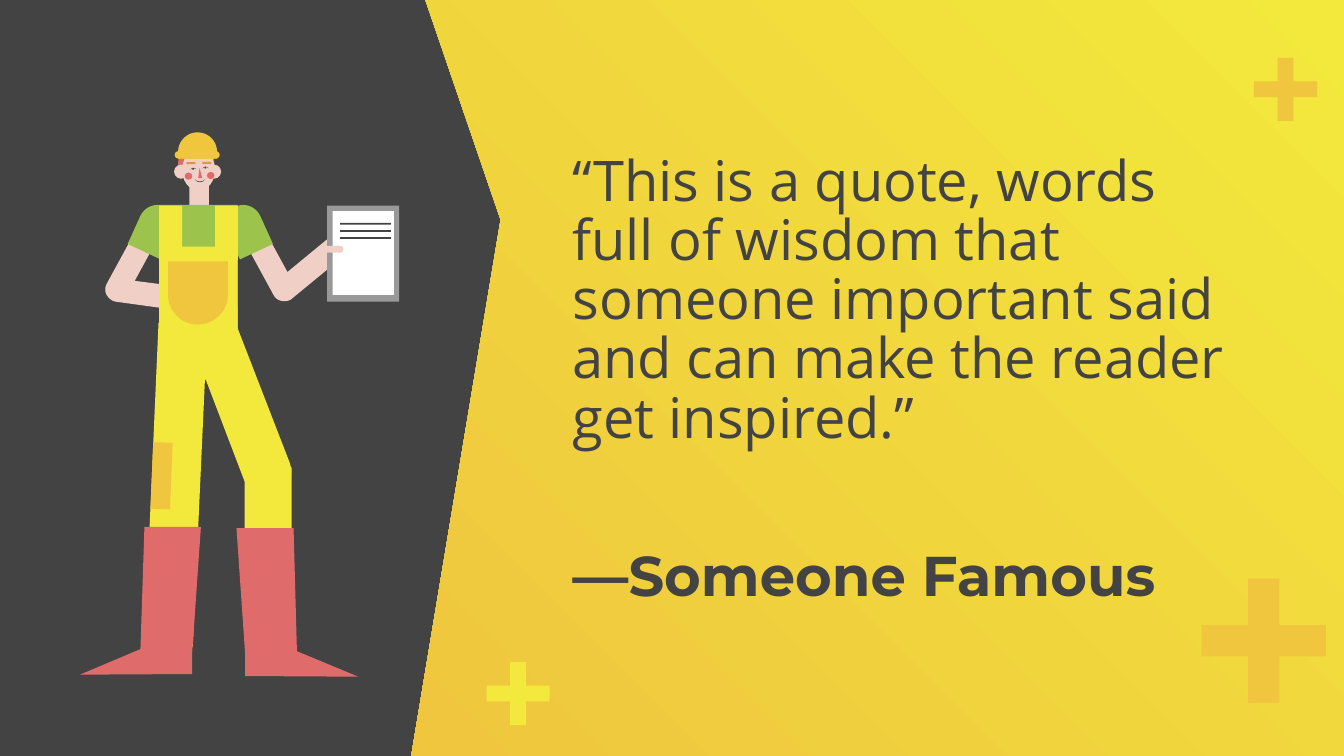
"""Build a quote slide with a worker holding a clipboard."""
from pptx import Presentation
from pptx import util as u
from pptx.dml.color import RGBColor
from pptx.enum import shapes, text

Pt = u.Pt
KIND = shapes.MSO_SHAPE
DARK, YELLOW, AMBER, SKIN = "434343", "F3E83C", "EFC63E", "EFCFC6"
RED, GREEN, BROWN, NAVY = "E06B6B", "9CC34C", "E29643", "2B3340"
GREY, WHITE = "999999", "FFFFFF"


def color(value):
    return RGBColor.from_string(value)


def flatten(points, steps=10):
    """Turn corners (x, y) and cubic curves of six numbers into plain corners."""
    corners = []
    for point in points:
        if len(point) == 2:
            corners.append(point)
            continue
        controls = (corners[-1], point[:2], point[2:4], point[4:])
        for step in range(1, steps + 1):
            t = step / steps
            weights = ((1 - t) ** 3, 3 * t * (1 - t) ** 2, 3 * t * t * (1 - t), t ** 3)
            corners.append(tuple(sum(w * c[axis] for w, c in zip(weights, controls))
                                 for axis in (0, 1)))
    return corners


def mirror(points, center):
    return [tuple(2 * center - n if i % 2 == 0 else n for i, n in enumerate(point))
            for point in points]


class Canvas:
    """Holds the slide, the shapes being drawn on and the shared style."""

    def __init__(self, deck, background):
        self.slide = deck.slides.add_slide(deck.slide_layouts[6])
        self.slide.background.fill.solid()
        self.slide.background.fill.fore_color.rgb = color(background)
        self.layer = self.slide.shapes

    def start_group(self):
        self.layer = self.slide.shapes.add_group_shape().shapes

    def paint(self, shape, fill):
        shape.shadow.inherit = False
        shape.line.fill.background()
        shape.fill.solid()
        shape.fill.fore_color.rgb = color(fill)
        return shape

    def preset(self, kind, fill, left, top, width, height, adjust=None):
        shape = self.layer.add_shape(kind, Pt(left), Pt(top), Pt(width), Pt(height))
        if adjust is not None:
            shape.adjustments[0] = adjust
        return self.paint(shape, fill)

    def rect(self, fill, *frame):
        return self.preset(KIND.RECTANGLE, fill, *frame)

    def oval(self, fill, *frame):
        return self.preset(KIND.OVAL, fill, *frame)

    def pill(self, fill, *frame):
        return self.preset(KIND.ROUNDED_RECTANGLE, fill, *frame, adjust=0.5)

    def plus(self, fill, left, top, size):
        return self.preset(KIND.CROSS, fill, left, top, size, size, adjust=0.375)

    def outline(self, fill, *points):
        corners = [(Pt(x), Pt(y)) for x, y in flatten(points)]
        builder = self.layer.build_freeform(*corners[0], scale=1.0)
        builder.add_line_segments(corners[1:], close=True)
        return self.paint(builder.convert_to_shape(), fill)

    def gradient(self, shape, first, last, angle):
        shape.fill.gradient()
        shape.fill.gradient_angle = angle
        for stop, value in zip(shape.fill.gradient_stops, (first, last)):
            stop.color.rgb = color(value)

    def words(self, content, frame, font, bold=False, spacing=None):
        box = self.slide.shapes.add_textbox(*map(Pt, frame)).text_frame
        box.word_wrap = True
        box.vertical_anchor = text.MSO_ANCHOR.MIDDLE
        box.margin_left = box.margin_right = box.margin_top = box.margin_bottom = Pt(14.4)
        box.text = content
        para = box.paragraphs[0]
        para.line_spacing = spacing
        span = para.runs[0]
        span.font.name, span.font.size, span.font.bold = font, Pt(60), bold
        span.font.color.rgb = color(DARK)


def draw_arms(page):
    upper_arm = [(149.8, 239), (114.5, 303.8), (110.9, 310.3, 113, 317.5, 119.5, 321.1),
                 (121, 321.8, 123.1, 322.6, 125.3, 322.6),
                 (129.6, 322.6, 133.9, 320.4, 136.1, 316.1), (171.4, 251.3)]
    sleeve = [(168.5, 219.6), (161.3, 219.6, 154.1, 223.9, 150.5, 231.1), (136.8, 261.4),
              (172.1, 277.9), (186.5, 247), (190.8, 237.6, 186.5, 226.1, 176.4, 221),
              (173.5, 220.3, 171.4, 219.6, 168.5, 219.6)]
    resting = [(126, 298.8), (120.2, 298.8, 114.5, 303.1, 113.8, 309.6),
               (113, 316.1, 118.1, 322.6, 124.6, 323.3), (198, 333.4), (200.9, 308.2),
               (128.2, 298.8)]
    raised = [(354.2, 253.4), (297.4, 300.2), (292.3, 305.3, 291.6, 312.5, 295.9, 318.2),
              (298.1, 321.1, 301.7, 322.6, 305.3, 322.6),
              (308.2, 322.6, 311, 321.8, 313.2, 319.7), (370.1, 272.9)]
    sides = ((mirror(upper_arm, 214.6), raised, mirror(sleeve, 214.6)),
             (upper_arm, resting, sleeve))
    for upper, forearm, cover in sides:
        page.outline(SKIN, *upper)
        page.outline(SKIN, *forearm)
        page.outline(GREEN, *cover)


def draw_head(page):
    page.oval(RED, 190.8, 152.6, 38.9, 44.6)
    page.rect(SKIN, 203, 195.1, 20.9, 31.7)
    page.oval(SKIN, 195.1, 159.8, 35.3, 44.6)
    for left in (186.5, 221.8):
        page.oval(SKIN, left, 176.4, 15.1, 15.1)
    for x, y in ((203.8, 181.9), (216.9, 180.6)):
        page.outline(DARK, (x, y), (x + 1.4, y - 2.5, x + 5, y - 2.5, x + 6.4, y - 0.4),
                     (x + 4.6, y - 1.9, x + 1.8, y - 1.9, x, y))
        page.oval(DARK, x + 2.1, y - 1.8, 2, 1.8)
    page.outline(RED, (213.8, 180), (212.4, 190.8), (216.7, 190.8))
    for left, top in ((199.6, 173.6), (216.7, 173.3)):
        page.pill(BROWN, left, top, 10.1, 2.3)
    for left, top in ((198, 185), (221.8, 184.3)):
        page.oval(RED, left, top, 7.9, 7.5)
    page.outline(DARK, (208.8, 192.2), (210.2, 194.4, 212, 195.1, 214.6, 195.1),
                 (217, 195.1, 218.6, 193.7, 219.6, 192.2),
                 (218, 193.7, 216.4, 194.4, 214.2, 194.4),
                 (212, 194.4, 210.2, 193.7, 208.8, 192.2))
    page.oval(NAVY, 201.6, 154.8, 15.8, 13)
    page.outline(AMBER, (211.7, 141.8), (200.2, 141.8, 190.8, 151.2, 190.8, 162.7),
                 (190.8, 169.9), (232.6, 169.9), (232.6, 162.7),
                 (232.6, 151.2, 223.2, 141.8, 211.7, 141.8))
    page.pill(AMBER, 187.2, 162, 48.2, 7.9)


def draw_clothes(page):
    page.outline(YELLOW, (252, 344.9), (228.2, 354.2), (214.6, 359.3, 208.1, 374.4, 213.1, 387.4),
                 (261.4, 514.1), (265.7, 524.2, 275.8, 530.6, 285.8, 530.6),
                 (288.7, 530.6, 292.3, 529.9, 295.2, 529.2),
                 (308.9, 524.2, 315.4, 509, 310.3, 495.4))
    page.outline(YELLOW, (264.2, 483.1), (262.8, 483.1, 262.1, 484.6, 262.1, 486), (262.1, 685.4),
                 (312.5, 685.4), (312.5, 501.8), (312.5, 500.4, 311, 499.7, 309.6, 499.7))
    page.outline(YELLOW, (169.9, 345.6), (154.8, 690.5), (206.6, 692.6), (221.8, 357.8),
                 (221.8, 348.5), (170.6, 345.6))
    page.rect(YELLOW, 170.6, 329.8, 84.2, 77)
    page.outline(RED, (154.8, 564.5), (150.5, 695.5), (85.7, 722.9), (205.9, 722.2),
                 (205.9, 699.8), (215.3, 564.5))
    page.outline(RED, (253.4, 565.9), (262.8, 702), (262.8, 724.3), (383.8, 725),
                 (318.2, 697.7), (314.6, 565.9))
    page.rect(GREEN, 170.6, 219.6, 84.2, 121)
    page.rect(YELLOW, 170.6, 264.2, 84.2, 91.4)
    for left in (170.6, 230.4):
        page.rect(YELLOW, left, 220.3, 24.5, 58.3)
    page.outline(AMBER, (180, 280.1), (180, 316.1), (180, 333.4, 194.4, 347.8, 211.7, 347.8),
                 (229.7, 347.8, 244.1, 333.4, 244.1, 316.1), (244.1, 280.1))
    page.outline(AMBER, (164.2, 473.8), (161.3, 545), (182.2, 545.8), (185, 474.5))


def draw_clipboard(page):
    page.rect(GREY, 350.6, 220.3, 77, 103)
    page.rect(WHITE, 356.4, 226.1, 65.5, 90)
    page.pill(SKIN, 347, 263.5, 20.9, 7.2)
    for row in range(3):
        page.rect(DARK, 364.3, 238.9 + 7.6 * row, 54.5, 1.9)


def main():
    deck = Presentation()
    deck.slide_width, deck.slide_height = Pt(1440), Pt(810)
    page = Canvas(deck, DARK)
    panel = page.outline(YELLOW, (1440, 0), (1440, 810), (440.6, 810), (536.4, 235.4), (455.8, 0))
    page.gradient(panel, YELLOW, AMBER, 225)
    page.plus(YELLOW, 521.3, 709.2, 67.7)
    page.plus(AMBER, 1343.5, 61.9, 67.7)
    page.plus(AMBER, 1287.4, 619.9, 133.2)
    page.words("—Someone Famous", (599, 561.6, 706.3, 107.3), "Montserrat", bold=True)
    page.words("“This is a quote, words full of wisdom that someone important said "
               "and can make the reader get inspired.”",
               (599, 117.4, 731.5, 412.6), "Open Sans", spacing=0.88)
    page.start_group()
    for draw in (draw_arms, draw_head, draw_clothes, draw_clipboard):
        draw(page)
    deck.save("out.pptx")


if __name__ == "__main__":
    main()
